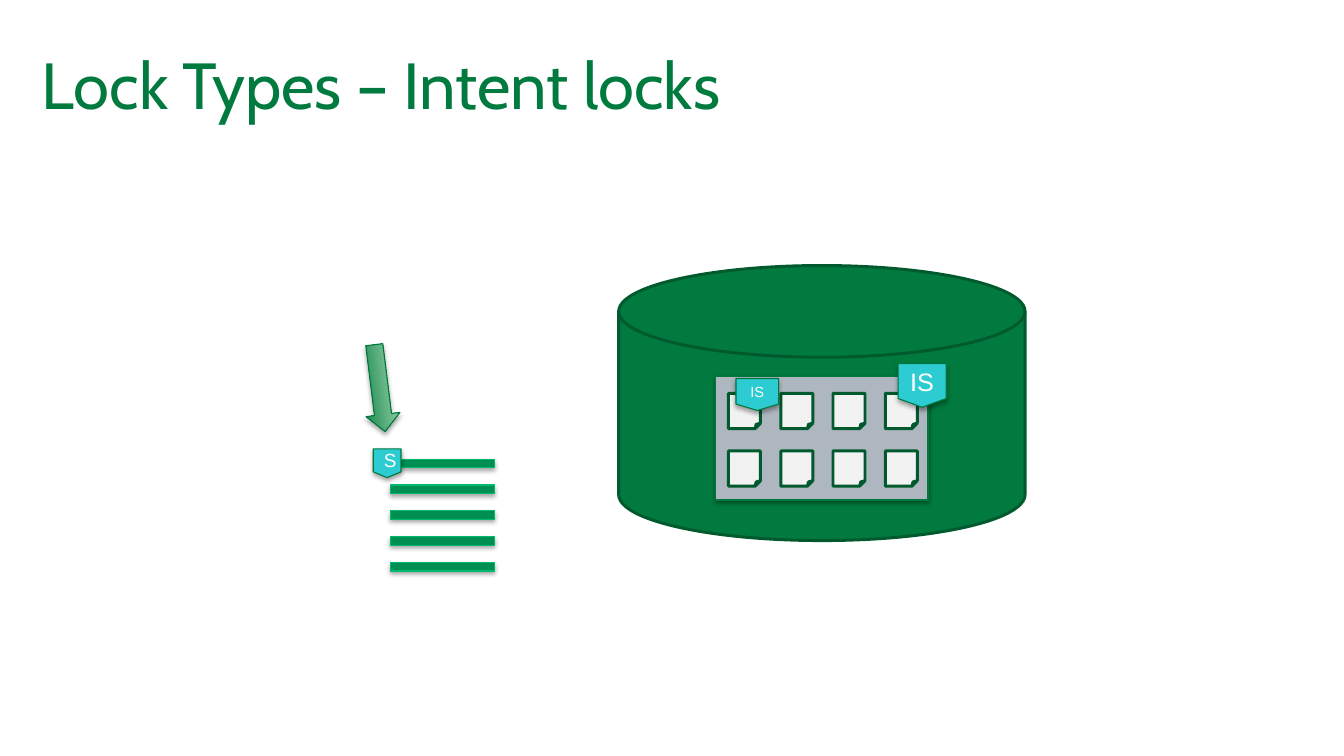
from dataclasses import dataclass
from itertools import product

from lxml import etree
from pptx import Presentation, util as u
from pptx.dml.color import RGBColor
from pptx.enum import shapes, text
from pptx.oxml import parse_xml
from pptx.oxml.ns import nsdecls, qn

GREEN = RGBColor(0x00, 0x7A, 0x3E)
DARK = RGBColor(0x00, 0x5A, 0x2E)
EDGE = RGBColor(0x00, 0x77, 0x3D)
BAR = RGBColor(0x00, 0x8F, 0x53)
LIME = RGBColor(0x00, 0xBB, 0x6D)
MINT = RGBColor(0xAB, 0xDD, 0xB6)
CYAN = RGBColor(0x2D, 0xCC, 0xD3)
GRAY = RGBColor(0xAE, 0xB6, 0xC0)
PAPER = RGBColor(0xF2, 0xF2, 0xF2)
WHITE = RGBColor(0xFF, 0xFF, 0xFF)

# The slide is a grid of 126 columns by 70.9 rows
CELL = u.Inches(0.1)
COLS, ROWS = 126, 70.9
KIND = shapes.MSO_SHAPE


@dataclass
class Box:
    col: float
    row: float
    wide: float
    high: float

    def place(self) -> list[int]:
        return [round(n * CELL) for n in (self.col, self.row, self.wide, self.high)]


@dataclass
class Style:
    fill: RGBColor
    line: RGBColor = EDGE
    width: float = 0.75
    shade: bool = True


@dataclass
class Lock:
    box: Box
    label: str
    size: float


SOLID = Style(GREEN, DARK, 2, False)
PAGE = Style(PAPER, DARK, 2, False)
LOCKS = [
    Lock(Box(35, 42.1, 2.6, 2.7), "S", 12.8),
    Lock(Box(84.2, 34.1, 4.5, 4.1), "IS", 17),
    Lock(Box(69, 35.5, 4, 3), "IS", 9.9),
]


def add_shade(shape) -> None:
    """Drop a soft black shadow straight down."""
    effect = shape._element.spPr.find(qn("a:effectLst"))
    effect.append(parse_xml(
        f'<a:outerShdw {nsdecls("a")} blurRad="{u.Pt(3.1)}" dist="{u.Pt(1.8)}" '
        'dir="5400000" rotWithShape="0"><a:srgbClr val="000000">'
        '<a:alpha val="35000"/></a:srgbClr></a:outerShdw>'))


def add_form(slide, kind: KIND, box: Box, style: Style):
    shape = slide.shapes.add_shape(kind, *box.place())
    shape.fill.solid()
    shape.fill.fore_color.rgb = style.fill
    shape.line.color.rgb = style.line
    shape.line.width = u.Pt(style.width)
    shape.shadow.inherit = False
    if style.shade:
        add_shade(shape)
    return shape


def add_lock(slide, lock: Lock) -> None:
    shape = add_form(slide, KIND.FLOWCHART_OFFPAGE_CONNECTOR, lock.box, Style(CYAN))
    frame = shape.text_frame
    frame.text = lock.label
    frame.vertical_anchor = text.MSO_ANCHOR.MIDDLE
    para = frame.paragraphs[0]
    para.alignment = text.PP_ALIGN.CENTER
    para.font.name = "Arial"
    para.font.size = u.Pt(lock.size)
    para.font.color.rgb = WHITE


def add_title(slide, words: str) -> None:
    title = slide.shapes.title
    title.left, title.top, title.width, title.height = Box(3.9, 3.9, 118.1, 7.9).place()
    frame = title.text_frame
    frame.text = words
    frame.vertical_anchor = text.MSO_ANCHOR.MIDDLE
    frame.margin_left = frame.margin_right = 0
    frame.margin_top = frame.margin_bottom = 0
    para = frame.paragraphs[0]
    para.alignment = text.PP_ALIGN.LEFT
    para.font.name = "Cabin"
    para.font.size = u.Pt(44)
    para.font.color.rgb = GREEN


def add_arrow(slide) -> None:
    arrow = add_form(slide, KIND.RIGHT_ARROW, Box(31.5, 34.8, 8.2, 3.2), Style(GREEN))
    arrow.rotation = 82.9
    arrow.fill.gradient()
    arrow.fill.gradient_angle = 90
    for stop, color in zip(arrow.fill.gradient_stops, (GREEN, MINT)):
        stop.color.rgb = color


def main() -> None:
    deck = Presentation()
    deck.slide_width, deck.slide_height = round(COLS * CELL), round(ROWS * CELL)
    slide = deck.slides.add_slide(deck.slide_layouts[5])
    add_title(slide, "Lock Types – Intent locks")

    # Database with one table of pages
    add_form(slide, KIND.FLOWCHART_MAGNETIC_DISK, Box(58, 24.9, 38.1, 25.8), SOLID)
    add_form(slide, KIND.RECTANGLE, Box(67.1, 35.3, 19.9, 11.6), Style(GRAY))
    for row, col in product(range(2), range(4)):
        box = Box(68.3 + 4.9 * col, 36.9 + 5.4 * row, 3, 3.3)
        add_form(slide, KIND.FOLDED_CORNER, box, PAGE)

    # Rows of one page
    for row in range(5):
        box = Box(34.9, 41.8 + 2.43 * row, 13.2, 3.3)
        add_form(slide, KIND.MATH_MINUS, box, Style(BAR, LIME))

    # Locks and the pointer to the locked row
    add_arrow(slide)
    for lock in LOCKS:
        add_lock(slide, lock)

    deck.save("out.pptx")


if __name__ == "__main__":
    main()
